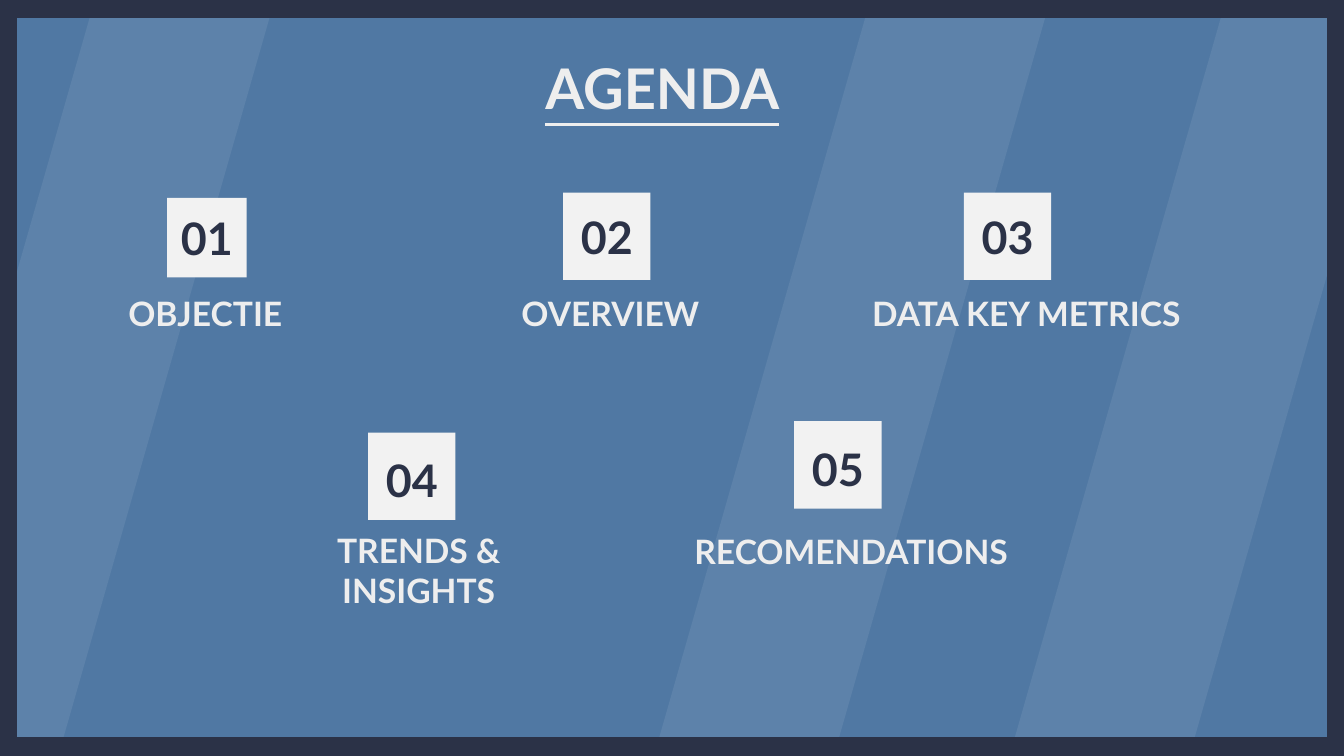
import pptx
import pptx.dml.color
import pptx.enum.shapes
import pptx.enum.text
import pptx.oxml
import pptx.oxml.ns
import pptx.util

Pt = pptx.util.Pt
Shape = pptx.enum.shapes.MSO_SHAPE
Anchor = pptx.enum.text.MSO_ANCHOR
Align = pptx.enum.text.PP_ALIGN

NAVY, BLUE, PALE, SQUARE = "2B3247", "5078A3", "EEEEEE", "F2F2F2"


def paint(color_format, color):
    color_format.rgb = pptx.dml.color.RGBColor.from_string(color)


def write_text(shape, text, size, color, anchor=Anchor.BOTTOM, align=Align.CENTER,
               underline=False, bottom=7.2):
    frame = shape.text_frame
    frame.word_wrap = True
    frame.auto_size = pptx.enum.text.MSO_AUTO_SIZE.NONE
    frame.vertical_anchor = anchor
    frame.margin_left = frame.margin_top = frame.margin_right = Pt(7.2)
    frame.margin_bottom = Pt(bottom)
    para = frame.paragraphs[0]
    para.alignment = align
    span = para.add_run()
    span.text = text
    span.font.name = "Lato"
    span.font.size = Pt(size)
    span.font.bold = True
    span.font.underline = underline
    paint(span.font.color, color)


deck = pptx.Presentation()
deck.slide_width, deck.slide_height = Pt(720), Pt(405)
page = deck.slides.add_slide(deck.slide_layouts[5])
page.background.fill.solid()
paint(page.background.fill.fore_color, BLUE)

# Translucent diagonal stripes
for left in (-69, 346.5, 537):
    stripe = page.shapes.add_shape(Shape.PARALLELOGRAM, Pt(left), Pt(-10), Pt(219), Pt(428.4))
    stripe.adjustments[0] = 0.56
    stripe.shadow.inherit = False
    stripe.line.fill.background()
    stripe.fill.solid()
    paint(stripe.fill.fore_color, "FFFFFF")
    tint = stripe.fill._xPr.find(".//" + pptx.oxml.ns.qn("a:srgbClr"))
    alpha = pptx.oxml.parse_xml(f'<a:alpha {pptx.oxml.ns.nsdecls("a")} val="8000"/>')
    tint.append(alpha)

# Frame round the slide: top, left, bottom, right
for left, top, width, height in ((0, 0.5, 720, 8.6), (0, 3, 8.6, 396),
                                 (0, 395.5, 720, 8.6), (711.4, 3, 8.6, 396)):
    bar = page.shapes.add_shape(Shape.RECTANGLE, Pt(left), Pt(top), Pt(width), Pt(height))
    bar.shadow.inherit = False
    bar.fill.solid()
    paint(bar.fill.fore_color, NAVY)
    paint(bar.line.color, NAVY)
    bar.line.width = Pt(1.5)

# Title, brought in front of the stripes
title = page.shapes.title
title.left, title.top, title.width, title.height = Pt(285), Pt(21.6), Pt(206), Pt(45.4)
write_text(title, "AGENDA", 30, PALE, anchor=Anchor.TOP, align=Align.LEFT, underline=True)
title.element.getparent().append(title.element)

# Label, its box, room below the text, then the number square and its anchor
items = [
    ("OBJECTIE", (56, 151.2, 108, 34.6), 7.2, (89.5, 106, 42.6), Anchor.MIDDLE),
    ("OVERVIEW", (269, 151.2, 116, 34.6), 7.2, (301.7, 103.2, 46.8), Anchor.MIDDLE),
    ("DATA KEY METRICS", (458, 152.6, 183.6, 33.2), 7.2, (516.4, 103.2, 46.8), Anchor.MIDDLE),
    ("TRENDS & INSIGHTS", (162.8, 279.4, 123, 76.3), 28.8, (197.2, 231.8, 46.8), Anchor.BOTTOM),
    ("RECOMENDATIONS", (352, 275, 208, 38.2), 7.2, (425.4, 225.6, 47), Anchor.BOTTOM),
]
for number, (label, area, bottom, (left, top, side), anchor) in enumerate(items, start=1):
    box = page.shapes.add_textbox(*map(Pt, area))
    write_text(box, label, 18, PALE, bottom=bottom)

    square = page.shapes.add_shape(Shape.RECTANGLE, Pt(left), Pt(top), Pt(side), Pt(side))
    square.shadow.inherit = False
    square.line.fill.background()
    square.fill.solid()
    paint(square.fill.fore_color, SQUARE)
    write_text(square, f"{number:02}", 24, NAVY, anchor=anchor)

deck.save("out.pptx")
